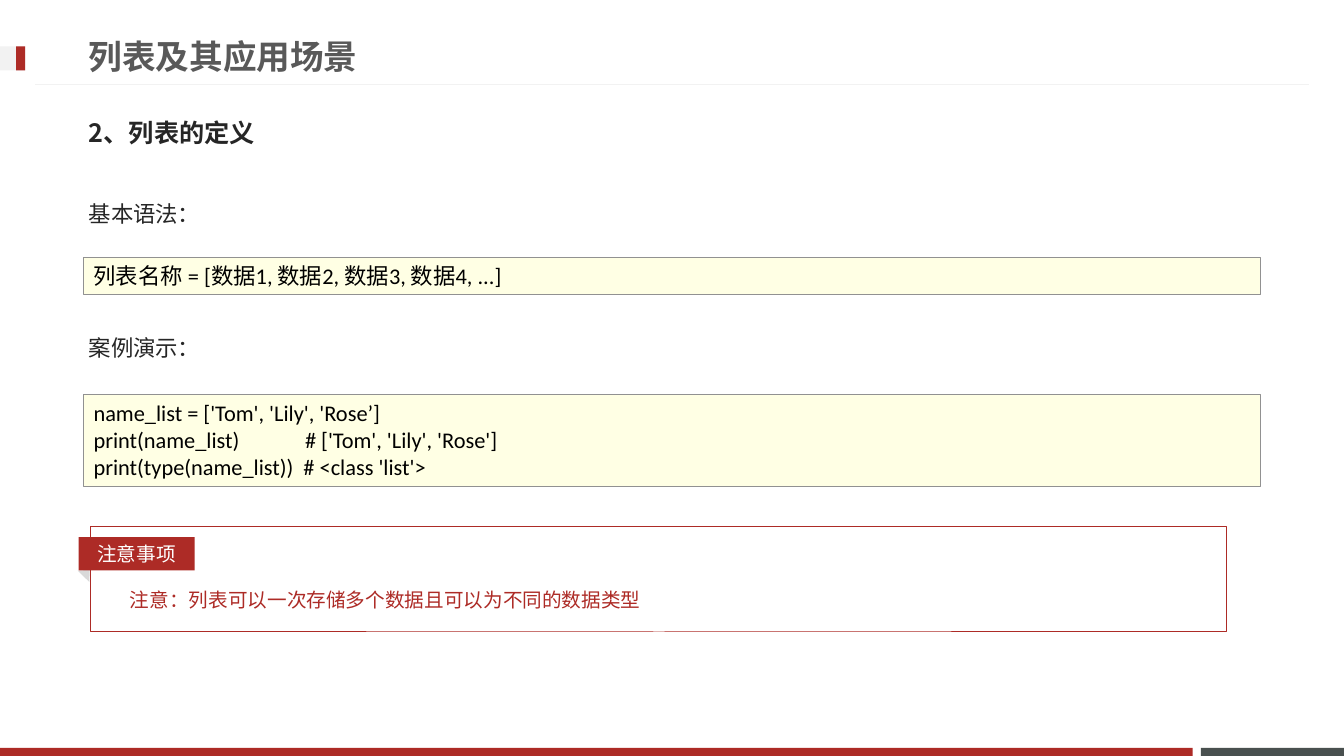
import pptx
import pptx.util
import pptx.dml.color
import pptx.enum.shapes
import pptx.enum.text
import pptx.oxml.ns
import lxml.etree

Inches = pptx.util.Inches
Pt = pptx.util.Pt
RGB = pptx.dml.color.RGBColor
Shape = pptx.enum.shapes.MSO_SHAPE
Align = pptx.enum.text.PP_ALIGN
Anchor = pptx.enum.text.MSO_ANCHOR
Fit = pptx.enum.text.MSO_AUTO_SIZE
qn = pptx.oxml.ns.qn

RED = RGB(0xAD, 0x2B, 0x26)
SLATE = RGB(0x49, 0x50, 0x4F)
PALE = RGB(0xF2, 0xF2, 0xF2)
FOLD = RGB(0xD9, 0xD9, 0xD9)
CREAM = RGB(0xFF, 0xFF, 0xE4)
EDGE = RGB(0x91, 0x91, 0x91)
HEAD = RGB(0x59, 0x59, 0x59)
INK = RGB(0x26, 0x26, 0x26)
BLACK = RGB(0, 0, 0)
WHITE = RGB(0xFF, 0xFF, 0xFF)


def write(shape, text, size=16, font="Lato", color=INK, bold=False,
          align=Align.LEFT, anchor=Anchor.TOP, line=1.0, gap=0):
    frame = shape.text_frame
    frame.word_wrap = True
    frame.auto_size = Fit.NONE
    frame.vertical_anchor = anchor
    for i, part in enumerate(text.split("\n")):
        para = frame.paragraphs[0] if i == 0 else frame.add_paragraph()
        props = para._p.get_or_add_pPr()
        props.set("marL", "0")
        props.set("indent", "0")
        lxml.etree.SubElement(props, qn("a:buNone"))
        para.alignment = align
        para.line_spacing = line
        para.space_before = Pt(gap if i else 0)
        run = para.add_run()
        run.text = part
        run.font.size = Pt(size)
        run.font.bold = bold
        run.font.color.rgb = color
        run.font.name = font
        east = lxml.etree.SubElement(run._r.get_or_add_rPr(), qn("a:ea"))
        east.set("typeface", font)


def place(shape, x, y, w, h):
    shape.left, shape.top = Inches(x), Inches(y)
    shape.width, shape.height = Inches(w), Inches(h)
    return shape


def block(slide, x, y, w, h, fill=None, edge=None, width=0.75, kind=Shape.RECTANGLE):
    shape = slide.shapes.add_shape(kind, Inches(x), Inches(y), Inches(w), Inches(h))
    shape.shadow.inherit = False
    if fill is None:
        shape.fill.background()
    else:
        shape.fill.solid()
        shape.fill.fore_color.rgb = fill
    if edge is None:
        shape.line.fill.background()
    else:
        shape.line.color.rgb = edge
        shape.line.width = Pt(width)
    return shape


def rule(slide, x, y, end):
    line = slide.shapes.add_connector(
        pptx.enum.shapes.MSO_CONNECTOR.STRAIGHT,
        Inches(x), Inches(y), Inches(end), Inches(y))
    line.line.color.rgb = PALE
    line.line.width = Pt(0.75)
    lxml.etree.SubElement(line._element.spPr, qn("a:effectLst"))


def frame(slide):
    block(slide, 11.91, 7.42, 1.42, 0.08, SLATE)
    block(slide, 0, 7.42, 11.83, 0.08, RED)
    rule(slide, 12.98, 0.84, 0.35)
    block(slide, 0, 0.46, 0.25, 0.24, PALE)
    block(slide, 0.16, 0.46, 0.09, 0.24, RED)


def code(slide, y, h, text):
    box = block(slide, 0.83, y, 11.67, h, CREAM, EDGE, 0.25)
    write(box, text, font="Calibri", color=BLACK)


def note(slide, label, text):
    fold = block(slide, 0.78, 5.64, 0.16, 0.09, FOLD, kind=Shape.ISOSCELES_TRIANGLE)
    fold.rotation = 44.2
    body = slide.shapes.add_textbox(Inches(1.19), Inches(5.67), Inches(10.69), Inches(0.42))
    write(body, text, size=14, color=RED, line=1.5)
    block(slide, 0.9, 5.22, 11.27, 1.05, edge=RED)
    tag = block(slide, 0.78, 5.33, 1.15, 0.33, RED)
    write(tag, label, size=14, color=WHITE, align=Align.CENTER, anchor=Anchor.MIDDLE)


def main():
    deck = pptx.Presentation()
    deck.slide_width, deck.slide_height = Inches(13.33), Inches(7.5)
    slide = deck.slides.add_slide(deck.slide_layouts[3])
    title, body, topic = slide.placeholders
    frame(slide)
    write(place(title, 0.78, 0.27, 9.59, 0.57), "列表及其应用场景",
          size=24, color=HEAD, bold=True, anchor=Anchor.MIDDLE)
    write(place(topic, 0.78, 1.03, 11.76, 0.57), "2、列表的定义",
          size=18, font="Noto Sans CJK JP", bold=True, anchor=Anchor.MIDDLE)
    write(place(body, 0.78, 1.8, 11.76, 4.61), "基本语法：\n案例演示：", line=1.5, gap=67)
    code(slide, 2.55, 0.37, "列表名称 = [数据1, 数据2, 数据3, 数据4, ...]")
    code(slide, 3.91, 0.91, "name_list = ['Tom', 'Lily', 'Rose’]\n"
         "print(name_list)             # ['Tom', 'Lily', 'Rose']\n"
         "print(type(name_list))  # <class 'list'>")
    note(slide, "注意事项", "注意：列表可以一次存储多个数据且可以为不同的数据类型")
    deck.save("out.pptx")


if __name__ == "__main__":
    main()
